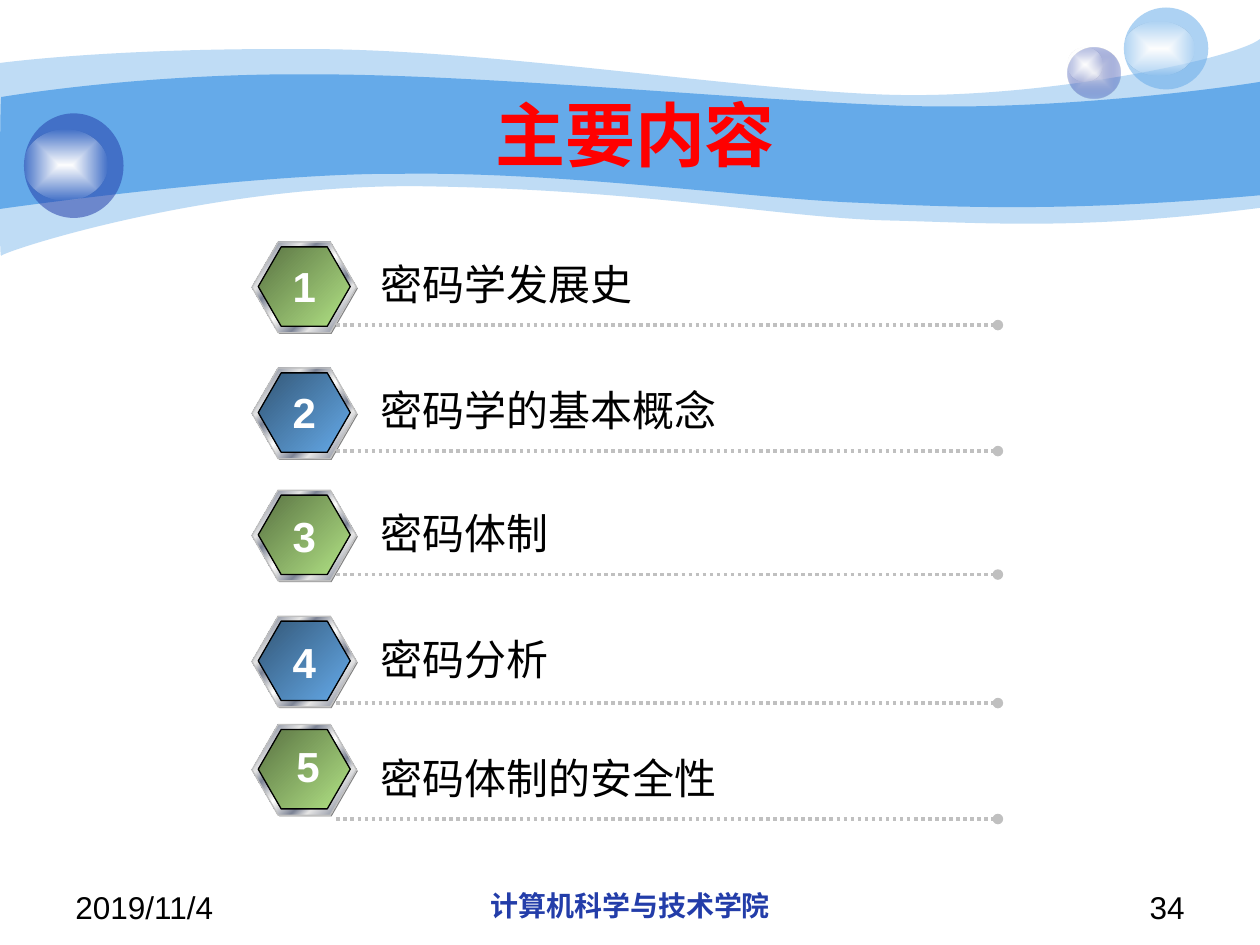
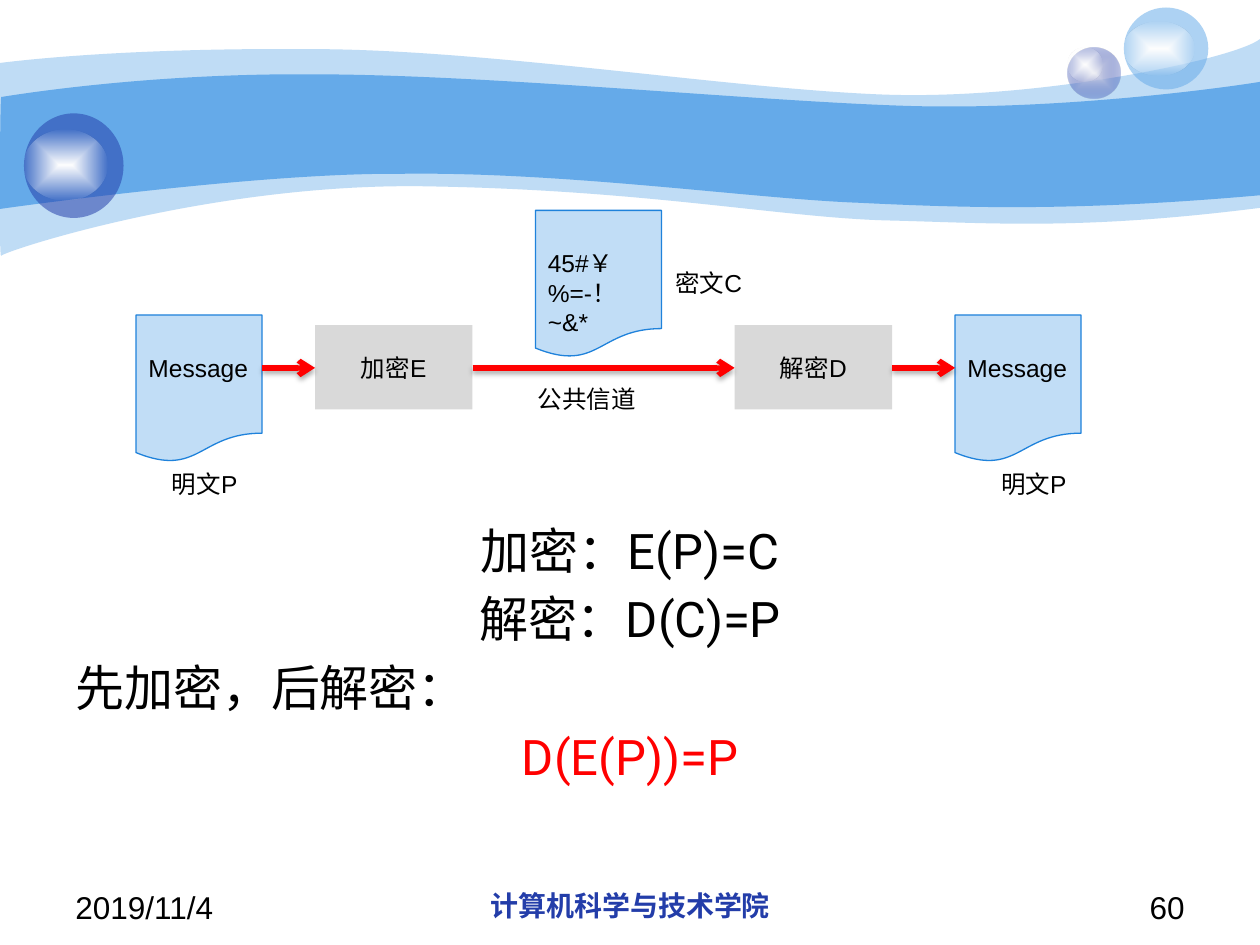
from dataclasses import dataclass

from pptx import Presentation
from pptx.dml.color import RGBColor
from pptx.enum.dml import MSO_LINE
from pptx.enum.shapes import MSO_CONNECTOR, MSO_SHAPE
from pptx.enum.text import MSO_ANCHOR, PP_ALIGN
from pptx.oxml import parse_xml
from pptx.oxml.ns import nsdecls, qn
from pptx.util import Inches, Pt


@dataclass(frozen=True)
class Theme:
    font: str = "Arial"
    body_font: str = "Roboto"
    black: str = "000000"
    white: str = "FFFFFF"
    red: str = "FF0000"
    sky: str = "65AAE9"
    navy: str = "233DA9"
    silver: str = "C0C0C0"
    shade: str = "808080"
    pearl: str = "E1E2ED"
    steel_light: str = "E6E6E6"
    steel_dark: str = "7D8496"
    green_dark: str = "5A7343"
    green_light: str = "B2E385"
    blue_dark: str = "335777"
    paper: str = "C1DDF6"
    paper_edge: str = "1F82DB"
    box: str = "D9D9D9"
    title_size: int = 40
    body_size: int = 28
    item_size: int = 24
    footer_size: int = 18
    school_size: int = 16
    label_size: int = 14


theme = Theme()


def paint(shape, stops, outline=None, direction='<a:lin ang="2700000" scaled="1"/>'):
    colours = [
        f'<a:srgbClr val="{colour}"><a:alpha val="{alpha * 1000}"/></a:srgbClr>'
        for _, colour, alpha in stops
    ]
    if len(stops) == 1:
        fill = f'<a:solidFill {nsdecls("a")}>{colours[0]}</a:solidFill>'
    else:
        marks = "".join(
            f'<a:gs pos="{stop[0] * 1000}">{colour}</a:gs>'
            for stop, colour in zip(stops, colours)
        )
        fill = f'<a:gradFill {nsdecls("a")}><a:gsLst>{marks}</a:gsLst>{direction}</a:gradFill>'
    shape.shadow.inherit = False
    shape.fill.background()
    properties = shape.element.spPr
    properties.replace(properties.find(qn("a:noFill")), parse_xml(fill))
    if outline:
        shape.line.color.rgb = RGBColor.from_string(outline)
        shape.line.width = Pt(0.75)
    else:
        shape.line.fill.background()


def write(frame, text, size, colour=theme.black, bold=False, align=PP_ALIGN.LEFT,
          anchor=MSO_ANCHOR.TOP, wrap=True, font=theme.font):
    frame.text = text
    frame.word_wrap = wrap
    frame.vertical_anchor = anchor
    for paragraph in frame.paragraphs:
        paragraph.alignment = align
        for run in paragraph.runs:
            run.font.name = font
            run.font.size = Pt(size)
            run.font.bold = bold
            run.font.color.rgb = RGBColor.from_string(colour)


from_centre = '<a:path path="shape"><a:fillToRect l="50000" t="50000" r="50000" b="50000"/></a:path>'
glow = [(0, theme.white, 100), (100, theme.white, 0)]

waves = [
    (41, (0, 0.5), [
        [(0.24, 0.47), (1.07, 0.38), (2.47, 0.39)],
        [(3.86, 0.39), (5.75, 0.7), (6.99, 0.75)],
        [(8.22, 0.8), (9.8, 0.47), (10, 0.31)],
        [(10, 1.65)],
        [(8.58, 1.83), (7.87, 1.77), (7.05, 1.75)],
        [(6.22, 1.73), (5.15, 1.51), (3.43, 1.48)],
        [(1.72, 1.44), (0.04, 1.99), (0.01, 2.03)],
        [(-0.01, 2.08), (0, 0.75), (0, 0.5)],
    ]),
    (100, (0.01, 0.77), [
        [(0.02, 0.77), (1.1, 0.58), (2.48, 0.59)],
        [(3.86, 0.59), (5.95, 0.8), (7.18, 0.84)],
        [(8.41, 0.88), (9.76, 0.69), (10, 0.65)],
        [(10, 1.55)],
        [(8.53, 1.68), (7.65, 1.65), (6.82, 1.61)],
        [(5.99, 1.58), (4.47, 1.36), (3.17, 1.38)],
        [(2.03, 1.37), (-0.02, 1.66), (-0.01, 1.66)],
        [(0, 1.66), (0, 0.77), (0.01, 0.77)],
    ]),
]

bubbles = [
    ((8.47, 0.38, 0.42, 0.4), [(0, theme.pearl, 100), (100, theme.navy, 31)]),
    ((8.47, 0.38, 0.28, 0.27), glow),
    ((8.92, 0.06, 0.67, 0.65), [(0, theme.sky, 53)]),
    ((8.92, 0.17, 0.56, 0.43), glow),
    ((0.19, 0.9, 0.79, 0.83), [(0, theme.navy, 53)]),
    ((0.19, 1.03, 0.66, 0.56), glow),
]

presentation = Presentation()
presentation.slide_width = Inches(10)
presentation.slide_height = Inches(7.5)
contents = presentation.slides.add_slide(presentation.slide_layouts[6])
cipher = presentation.slides.add_slide(presentation.slide_layouts[6])

for slide, page_number in ((contents, "34"), (cipher, "60")):
    for opacity, start, segments in waves:
        builder = slide.shapes.build_freeform(*map(Inches, start))
        builder.add_line_segments([tuple(map(Inches, segment[-1])) for segment in segments], close=True)
        wave = builder.convert_to_shape()
        paint(wave, [(0, theme.sky, opacity)])
        edges = list(wave.element.spPr.iter(qn("a:lnTo")))
        for edge, segment in zip(edges, segments):
            if len(segment) == 3:
                points = "".join(
                    f'<a:pt x="{Inches(x) - wave.left}" y="{Inches(y) - wave.top}"/>' for x, y in segment)
                curve = parse_xml(f'<a:cubicBezTo {nsdecls("a")}>{points}</a:cubicBezTo>')
                edge.getparent().replace(edge, curve)

    for place, stops in bubbles:
        bubble = slide.shapes.add_shape(MSO_SHAPE.OVAL, *map(Inches, place))
        paint(bubble, stops, direction=from_centre)

    for text, left, width, size, colour, bold, align in (
        ("2019/11/4", 0.5, 2.33, theme.footer_size, theme.black, False, PP_ALIGN.LEFT),
        ("计算机科学与技术学院", 3.42, 3.17, theme.school_size, theme.navy, True, PP_ALIGN.CENTER),
        (page_number, 7.17, 2.33, theme.footer_size, theme.black, False, PP_ALIGN.RIGHT),
    ):
        footer = slide.shapes.add_textbox(Inches(left), Inches(7), Inches(width), Inches(0.35))
        write(footer.text_frame, text, size, colour, bold, align)

title = contents.shapes.add_textbox(Inches(1), Inches(0.75), Inches(8.08), Inches(0.62))
write(title.text_frame, "主要内容", theme.title_size, theme.red, True, PP_ALIGN.CENTER, MSO_ANCHOR.MIDDLE)

steel = [
    (0, theme.steel_light, 100), (8, theme.steel_dark, 100), (26, theme.steel_light, 100),
    (34, theme.steel_dark, 100), (46, theme.steel_light, 100), (50, theme.white, 100),
    (54, theme.steel_light, 100), (66, theme.steel_dark, 100), (74, theme.steel_light, 100),
    (93, theme.steel_dark, 100), (100, theme.steel_light, 100),
]
green = [(0, theme.green_dark, 100), (100, theme.green_light, 100)]
blue = [(0, theme.blue_dark, 100), (100, theme.sky, 100)]

topics = [
    ("密码学发展史", 1.92, 2, 2.58, 2.22, 2.02),
    ("密码学的基本概念", 2.92, 3, 3.58, 2.22, 3.02),
    ("密码体制", 3.89, 3.98, 4.56, 2.22, 4),
    ("密码分析", 4.89, 4.98, 5.58, 2.22, 5),
    ("密码体制的安全性", 5.75, 5.92, 6.5, 2.25, 5.83),
]
lines = []
for number, (topic, badge_top, topic_top, rule_y, number_left, number_top) in enumerate(topics, 1):
    for left, top, width, height, stops, outline in (
        (2.01, badge_top + 0.01, 0.83, 0.72, [(0, theme.shade, 100)], None),
        (2, badge_top, 0.83, 0.72, steel, theme.silver),
        (2.05, badge_top + 0.04, 0.73, 0.63, green if number % 2 else blue, theme.black),
    ):
        badge = contents.shapes.add_shape(
            MSO_SHAPE.HEXAGON, Inches(left), Inches(top), Inches(width), Inches(height))
        badge.adjustments[0] = 0.289
        badge.adjustments[1] = 1.155
        paint(badge, stops, outline)
    topic_box = contents.shapes.add_textbox(
        Inches(2.92), Inches(topic_top), Inches(0.2 + len(topic) / 3), Inches(0.5))
    write(topic_box.text_frame, topic, theme.item_size, wrap=False)
    number_box = contents.shapes.add_textbox(
        Inches(number_left), Inches(number_top), Inches(0.39), Inches(0.5))
    write(number_box.text_frame, str(number), theme.item_size, theme.white, True, PP_ALIGN.CENTER, wrap=False)
    lines.append((contents, 2.67, 7.92, rule_y, theme.silver, 2, MSO_LINE.ROUND_DOT, "oval", ""))

for left, top, message in ((1.08, 2.5, "Message"), (4.25, 1.67, "45#￥%=-！~&*"), (7.58, 2.5, "Message")):
    document = cipher.shapes.add_shape(
        MSO_SHAPE.FLOWCHART_DOCUMENT, Inches(left), Inches(top), Inches(1), Inches(1.17))
    paint(document, [(0, theme.paper, 100)], theme.paper_edge)
    message_box = cipher.shapes.add_textbox(Inches(left), Inches(top + 0.25), Inches(1), Inches(0.34))
    write(message_box.text_frame, message, theme.label_size)

for left, operation in ((2.5, "加密E"), (5.83, "解密D")):
    process = cipher.shapes.add_shape(
        MSO_SHAPE.RECTANGLE, Inches(left), Inches(2.58), Inches(1.25), Inches(0.67))
    paint(process, [(0, theme.box, 100)])
    write(process.text_frame, operation, theme.label_size, align=PP_ALIGN.CENTER, anchor=MSO_ANCHOR.MIDDLE)

for left, top, caption, align in (
    (4.17, 3, "公共信道", PP_ALIGN.LEFT),
    (1, 3.67, "明文P", PP_ALIGN.CENTER),
    (7.58, 3.67, "明文P", PP_ALIGN.CENTER),
    (5, 2.08, "密文C", PP_ALIGN.CENTER),
):
    caption_box = cipher.shapes.add_textbox(Inches(left), Inches(top), Inches(1.25), Inches(0.34))
    write(caption_box.text_frame, caption, theme.label_size, align=align)

arrow_shadow = (
    f'<a:outerShdw blurRad="{Pt(3.1)}" dist="{Pt(1.8)}" dir="5400000" rotWithShape="0">'
    f'<a:srgbClr val="{theme.black}"><a:alpha val="35000"/></a:srgbClr></a:outerShdw>'
)
for start_x, end_x in ((2.08, 2.5), (3.75, 5.83), (7.08, 7.58)):
    lines.append((cipher, start_x, end_x, 2.92, theme.red, 3, None, "arrow", arrow_shadow))

for slide, start_x, end_x, y, colour, width, dash, tip, effect in lines:
    connector = slide.shapes.add_connector(
        MSO_CONNECTOR.STRAIGHT, Inches(start_x), Inches(y), Inches(end_x), Inches(y))
    connector.line.color.rgb = RGBColor.from_string(colour)
    connector.line.width = Pt(width)
    connector.line.dash_style = dash
    properties = connector.element.spPr
    properties.find(qn("a:ln")).append(parse_xml(f'<a:tailEnd {nsdecls("a")} type="{tip}"/>'))
    properties.append(parse_xml(f'<a:effectLst {nsdecls("a")}>{effect}</a:effectLst>'))

formulas = cipher.shapes.add_textbox(Inches(0.5), Inches(4.08), Inches(9), Inches(2.83)).text_frame
write(formulas, "加密：E(P)=C\n解密：D(C)=P\n先加密，后解密：\nD(E(P))=P",
      theme.body_size, align=PP_ALIGN.CENTER, font=theme.body_font)
for paragraph in formulas.paragraphs[1:]:
    paragraph.space_before = Pt(theme.body_size * 0.2)
formulas.paragraphs[2].alignment = PP_ALIGN.LEFT
formulas.paragraphs[3].runs[0].font.color.rgb = RGBColor.from_string(theme.red)

presentation.save("out.pptx")
